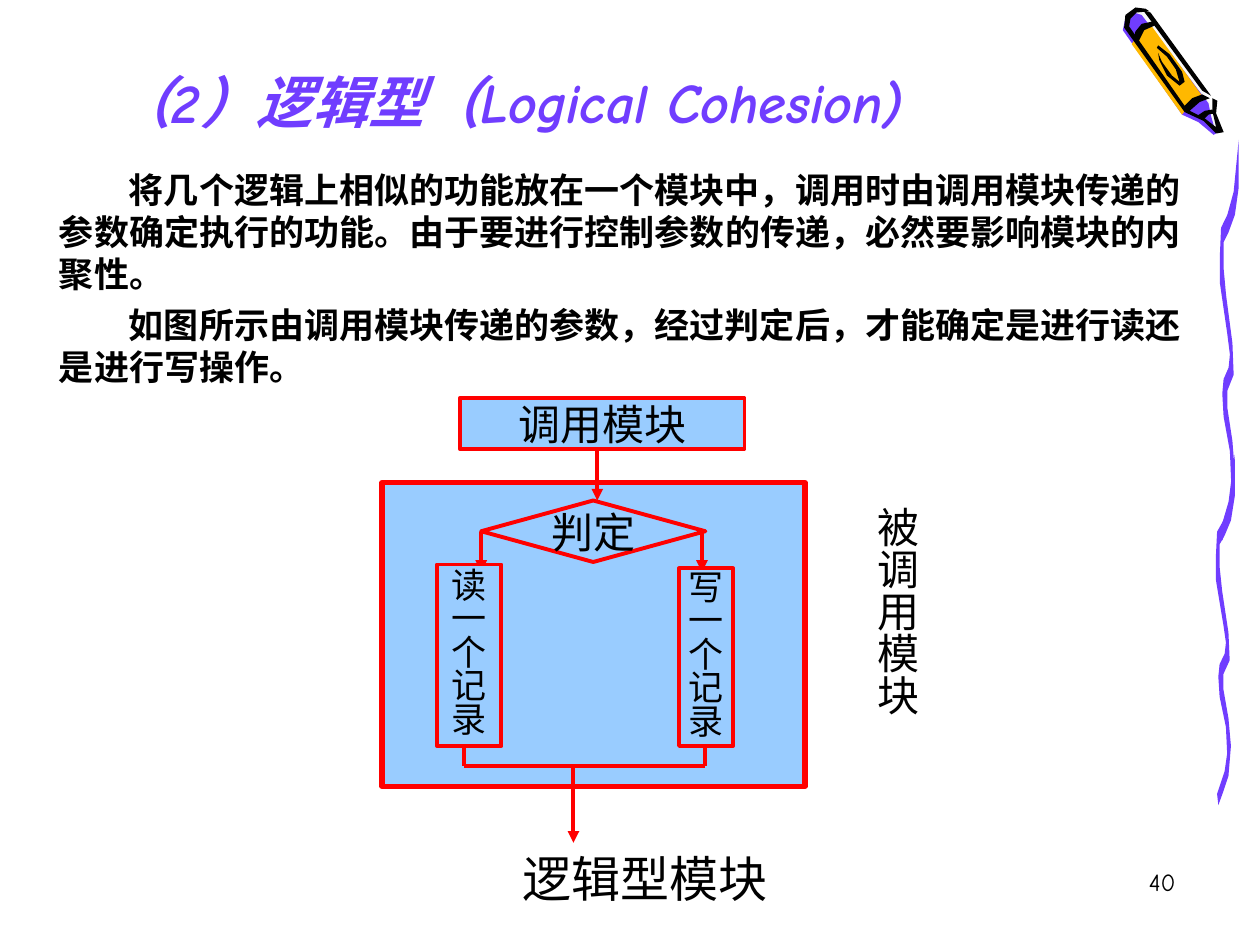
from lxml import etree
from pptx import Presentation
from pptx.dml.color import RGBColor
from pptx.enum.shapes import MSO_CONNECTOR as CONN, MSO_SHAPE as SHAPE
from pptx.enum.text import MSO_ANCHOR as ANCHOR, MSO_AUTO_SIZE as AUTO, PP_ALIGN as ALIGN
from pptx.oxml.ns import qn
from pptx.util import Cm, Pt

PURPLE = RGBColor(0x70, 0x3D, 0xFF)
ORANGE = RGBColor(0xFF, 0xB8, 0x00)
PALE = RGBColor(0xF8, 0xF8, 0xF8)
BLACK = RGBColor(0, 0, 0)
RED = RGBColor(0xFF, 0, 0)
BLUE = RGBColor(0x99, 0xCC, 0xFF)
LATIN, CJK = "Comic Neue", "Noto Sans CJK SC"
GRID = Cm(0.0254)  # one step of the outline coordinates

# Wavy stroke, drawn twice at different heights
WAVE = [(1, 269), (7, 251), (9, 237), (8, 216), (3, 192), (2, 176), (3, 166),
        (7, 158), (8, 149), (6, 135), (0, 99), (0, 81), (1, 61), (6, 52),
        (11, 36), (15, 0), (15, 33), (12, 52), (7, 64), (3, 71), (3, 89),
        (5, 108), (10, 141), (11, 163), (6, 174), (6, 186), (10, 209),
        (12, 231), (10, 255), (6, 267), (2, 278)]

# Crayon parts, back to front
CRAYON = [
    (PALE, [(78, 103), (73, 88), (62, 66), (19, 9), (12, 7), (6, 12), (4, 22),
            (51, 88), (66, 95), (76, 104)]),
    (PURPLE, [(16, 12), (69, 82), (71, 92), (75, 106), (73, 107), (61, 97),
              (48, 91), (1, 24), (3, 15), (10, 10)]),
    (ORANGE, [(8, 35), (48, 91), (56, 81), (66, 79), (24, 21), (15, 25)]),
    (BLACK, [(72, 87), (66, 88), (60, 92), (66, 94), (69, 91), (74, 90)]),
    (BLACK, [(19, 7), (11, 6), (3, 12), (2, 22), (50, 89), (65, 96), (75, 106),
             (81, 105), (75, 90), (76, 80), (72, 78), (72, 88), (75, 101),
             (66, 94), (54, 88), (62, 81), (70, 78), (64, 75), (56, 78),
             (50, 84), (6, 21), (7, 15), (12, 10), (22, 9)]),
    (BLACK, [(23, 10), (71, 76), (64, 72), (17, 8)]),
    (BLACK, [(25, 17), (16, 19), (11, 25), (10, 30), (13, 34), (18, 24), (27, 20)]),
    (BLACK, [(28, 38), (36, 45), (43, 55), (46, 65), (40, 60), (32, 49),
             (29, 42), (30, 48), (36, 60), (46, 68), (50, 65), (48, 57),
             (38, 43), (29, 36)]),
]


def add_run(p, text, size, font=CJK, color=BLACK, bold=False, italic=False):
    r = p.add_run()
    r.text = text
    f = r.font
    f.size, f.name, f.bold, f.italic = Pt(size), font, bold, italic
    f.color.rgb = color
    ea = etree.SubElement(r.font._element, qn("a:ea"))
    ea.set("typeface", CJK)


def write(tf, paragraphs, size, align=ALIGN.LEFT, before=0, spacing=None,
          indent=None, **style):
    for i, text in enumerate(paragraphs):
        p = tf.add_paragraph() if i else tf.paragraphs[0]
        p.alignment = align
        p.space_before = Pt(before if i else 0)
        if spacing:
            p.line_spacing = spacing
        if indent:
            p._p.get_or_add_pPr().set("indent", str(indent))
        add_run(p, text, size, **style)


def add_text(slide, box, paragraphs, size, **style):
    tf = slide.shapes.add_textbox(*map(Cm, box)).text_frame
    tf.word_wrap = True
    write(tf, paragraphs, size, **style)
    return tf


def add_outline(slide, x, y, points, color, stretch=1.0):
    fb = slide.shapes.build_freeform(*points[0], scale=(GRID, GRID * stretch))
    fb.add_line_segments(points[1:], close=True)
    sp = fb.convert_to_shape(Cm(x), Cm(y))
    sp.shadow.inherit = False
    sp.fill.solid()
    sp.fill.fore_color.rgb = color
    sp.line.fill.background()


def add_decoration(slide, x, y):
    # Wavy strokes under the crayon
    add_outline(slide, x + 1.9, y + 9.17, WAVE, PURPLE)
    add_outline(slide, x + 1.98, y + 2.82, WAVE, PURPLE, stretch=1.144)
    for color, points in CRAYON:
        add_outline(slide, x, y, points, color)


def add_title(slide, x, y, w, h):
    sp = slide.shapes.title
    sp.left, sp.top, sp.width, sp.height = map(Cm, (x, y, w, h))
    tf = sp.text_frame
    tf.auto_size, tf.word_wrap = AUTO.NONE, True
    tf.vertical_anchor = ANCHOR.MIDDLE
    write(tf, ["（2）逻辑型（Logical Cohesion)"], 32, align=ALIGN.JUSTIFY,
          font=LATIN, color=PURPLE, bold=True, italic=True)


def add_diagram(slide, x, y):
    def node(kind, left, top, w, h, paragraphs=(), size=24, line=2.25, spacing=None):
        sp = slide.shapes.add_shape(kind, Cm(x + left), Cm(y + top), Cm(w), Cm(h))
        sp.shadow.inherit = False
        sp.fill.solid()
        sp.fill.fore_color.rgb = BLUE
        sp.line.color.rgb = RED
        sp.line.width = Pt(line)
        tf = sp.text_frame
        tf.word_wrap, tf.vertical_anchor = False, ANCHOR.MIDDLE
        write(tf, paragraphs, size, align=ALIGN.CENTER, spacing=spacing)

    def link(x1, y1, x2, y2, arrow=False):
        c = slide.shapes.add_connector(
            CONN.STRAIGHT, Cm(x + x1), Cm(y + y1), Cm(x + x2), Cm(y + y2))
        c.line.color.rgb = RED
        c.line.width = Pt(2.25)
        if arrow:
            tail = etree.SubElement(c.line._get_or_add_ln(), qn("a:tailEnd"))
            tail.set("type", "triangle")
        etree.SubElement(c._element.spPr, qn("a:effectLst"))

    # Caller, called module and decision
    node(SHAPE.RECTANGLE, 1.57, 0, 5.74, 1.02, ["调用模块"])
    node(SHAPE.RECTANGLE, 0, 1.7, 8.53, 6.12, line=3)
    node(SHAPE.DIAMOND, 2, 2.06, 4.52, 1.24, ["判定"])
    for branch in (2, 6.45):
        link(branch, 2.69, branch, 3.5, arrow=True)

    # Read and write branches, one character a line
    bottom, merge = 7.01, 7.41
    for left, top, w, text in ((1.11, 3.35, 1.3, "读一个记录"),
                               (5.99, 3.43, 1.09, "写一个记录")):
        node(SHAPE.RECTANGLE, left, top, w, bottom - top, text, size=20, spacing=0.8)

    # Merge of the branches and the way out
    read_x, write_x = 1.65, 6.52
    link(read_x, merge, write_x, merge)
    for branch in (read_x, write_x):
        link(branch, bottom, branch, merge)
    link(3.86, merge, 3.86, 8.96, arrow=True)
    link(4.34, 1.02, 4.34, 2.06, arrow=True)

    # Caption and vertical label
    add_text(slide, (x + 0.33, y + 8.96, 9.96, 1.45), ["逻辑型模块"], 28,
             align=ALIGN.CENTER)
    tf = add_text(slide, (x + 9.5, y + 1.93, 1.52, 5.79), ["被调用模块"], 24)
    tf.margin_left = tf.margin_right = Cm(0.13)
    tf.margin_top = tf.margin_bottom = Cm(0.25)
    tf._txBody.bodyPr.set("vert", "eaVert")


def main():
    prs = Presentation()
    prs.slide_width, prs.slide_height = Cm(25.4), Cm(19.05)
    slide = prs.slides.add_slide(prs.slide_layouts[5])
    add_decoration(slide, 22.61, 0)
    add_title(slide, 2.08, 0.89, 20.88, 2.29)
    # Slide number
    add_text(slide, (18.67, 17.35, 5.28, 1.27), ["40"], 14, align=ALIGN.RIGHT, font=LATIN)
    # Explanation
    add_text(slide, (0.94, 3.28, 23.24, 4.67), [
        "将几个逻辑上相似的功能放在一个模块中，调用时由调用模块传递的参数确定执行的功能。"
        "由于要进行控制参数的传递，必然要影响模块的内聚性。",
        "如图所示由调用模块传递的参数，经过判定后，才能确定是进行读还是进行写操作。",
    ], 20, before=5, indent=Pt(40), bold=True)
    add_diagram(slide, 7.7, 8.03)
    prs.save("out.pptx")


if __name__ == "__main__":
    main()
